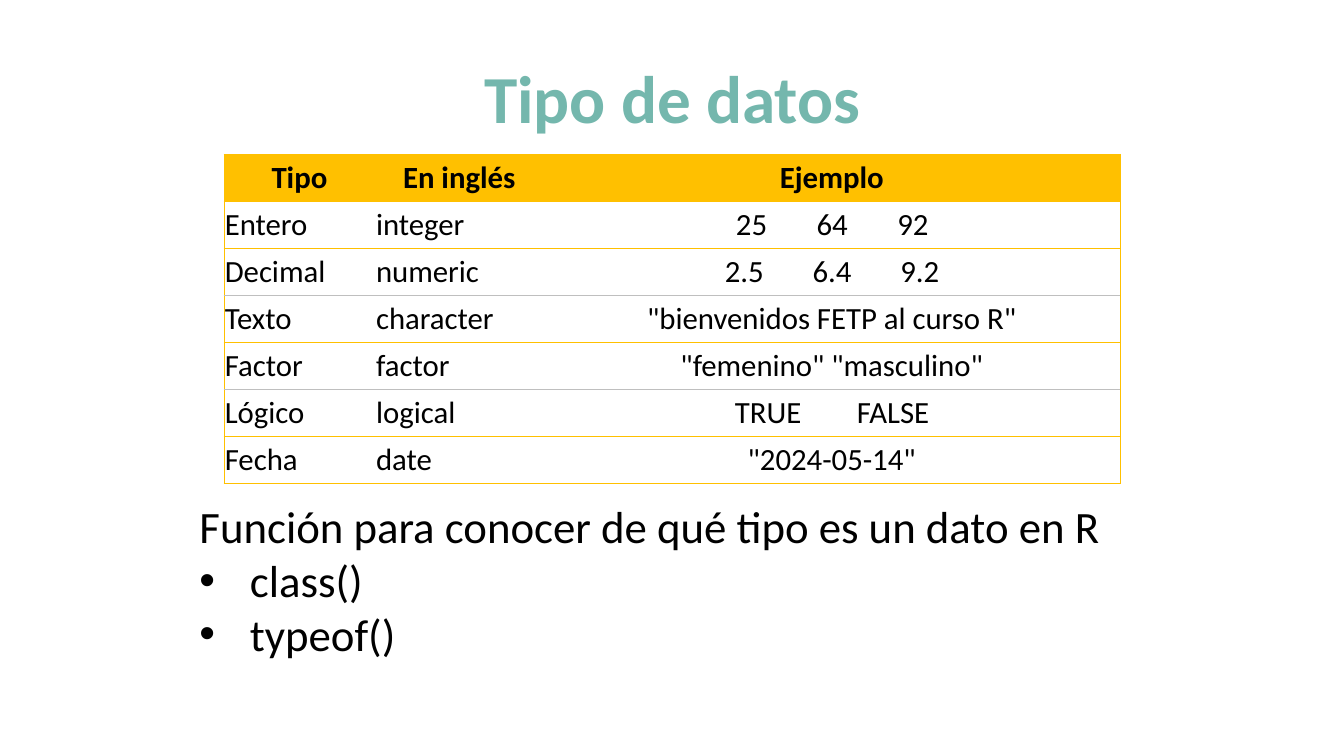
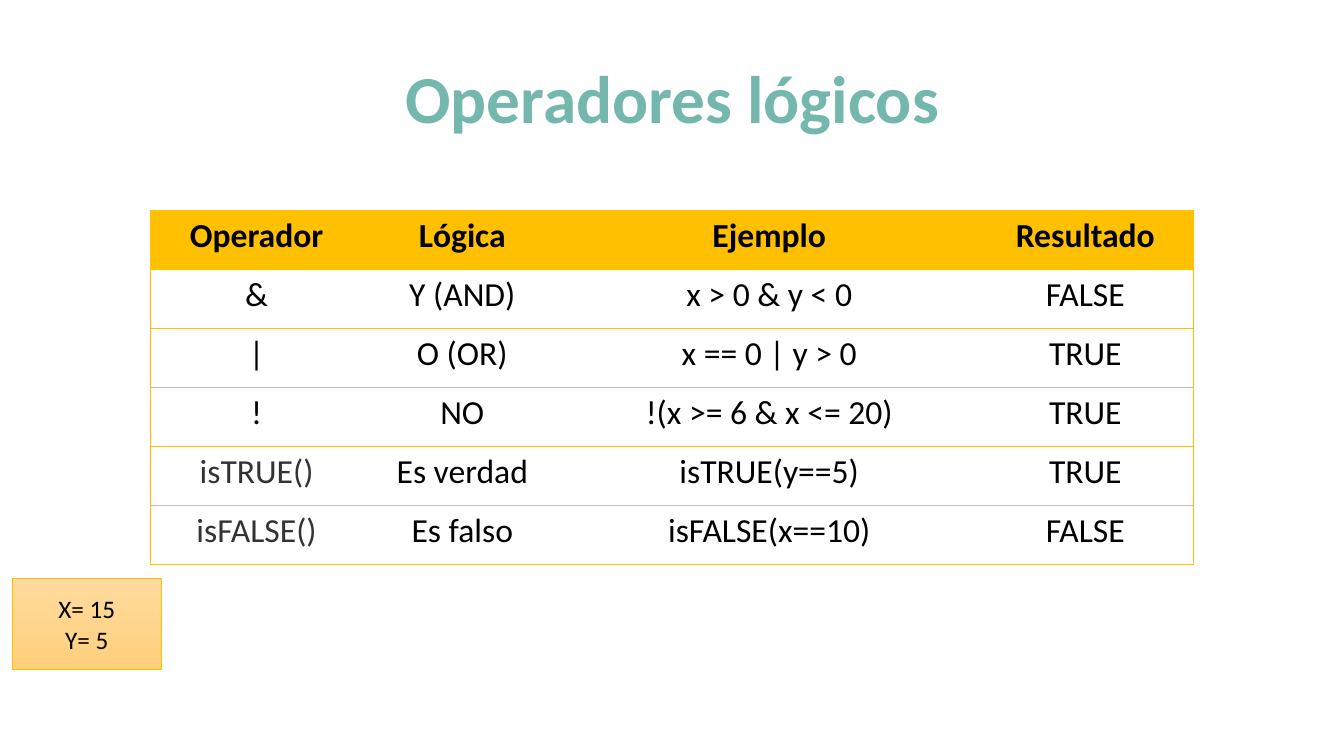
from lxml import etree
from pptx import Presentation
from pptx.dml.color import RGBColor
from pptx.enum.shapes import MSO_SHAPE
from pptx.enum.text import MSO_ANCHOR, PP_ALIGN
from pptx.oxml.ns import qn
from pptx.util import Inches, Pt

CENTER, LEFT = PP_ALIGN.CENTER, PP_ALIGN.LEFT
MIDDLE = MSO_ANCHOR.MIDDLE
RECT = MSO_SHAPE.RECTANGLE
FONT = "Calibri"
COLORS = {
    "title": "74B7AD",
    "accent": "FFC000",
    "rule": "BFBFBF",
    "text": "000000",
    "code": "333333",
    "box_top": "FFDB9E",
    "box_bottom": "FFD07C",
}

SLIDES = [
    {
        "title": "Tipo de datos",
        "at": (2.22, 1.53),
        "cols": [1.5, 1.67, 5.72],
        "row_height": 3.27 / 7,
        "size": 22,
        "aligns": [LEFT, LEFT, CENTER],
        "tabs": {
            "25": [1.9, 2.7, 3.5],
            "2.5": [1.79, 2.66, 3.53],
            "TRUE": [1.89, 3.1],
        },
        "rows": [
            ["Tipo", "En inglés", "Ejemplo"],
            ["Entero", "integer", "25\t64\t92"],
            ["Decimal", "numeric", "2.5\t6.4\t9.2"],
            ["Texto", "character", '"bienvenidos FETP al curso R"'],
            ["Factor", "factor", '"femenino" "masculino"'],
            ["Lógico", "logical", "TRUE\tFALSE"],
            ["Fecha", "date", '"2024-05-14"'],
        ],
    },
    {
        "title": "Operadores lógicos",
        "at": (1.49, 2.09),
        "cols": [2.11, 1.97, 4.12, 2.15],
        "row_height": 3.51 / 6,
        "size": 24,
        "aligns": [CENTER] * 4,
        "tabs": {},
        "rows": [
            ["Operador", "Lógica", "Ejemplo", "Resultado"],
            ["&", "Y (AND)", "x > 0 & y < 0", "FALSE"],
            ["|", "O (OR)", "x == 0 | y > 0", "TRUE"],
            ["!", "NO", "!(x >= 6 & x <= 20)", "TRUE"],
            ["isTRUE()", "Es verdad", "isTRUE(y==5)", "TRUE"],
            ["isFALSE()", "Es falso", "isFALSE(x==10)", "FALSE"],
        ],
    },
]


def add_run(p, text, size, color="text", bold=False, align=LEFT):
    p.alignment = align
    r = p.add_run()
    r.text = text
    r.font.name = FONT
    r.font.size = Pt(size)
    r.font.bold = bold
    r.font.color.rgb = RGBColor.from_string(COLORS[color])


def add_border(tc_pr, side, color):
    ln = etree.SubElement(tc_pr, qn(f"a:ln{side}"), w=str(Pt(0.5)))
    if color is None:
        etree.SubElement(ln, qn("a:noFill"))
    else:
        fill = etree.SubElement(ln, qn("a:solidFill"))
        etree.SubElement(fill, qn("a:srgbClr"), val=COLORS[color])


prs = Presentation()
prs.slide_width, prs.slide_height = Inches(13.33), Inches(7.5)
slides = []

for data in SLIDES:
    s = prs.slides.add_slide(prs.slide_layouts[6])
    slides.append(s)
    tf = s.shapes.add_textbox(Inches(0.92), Inches(0.39), Inches(11.5), Inches(1.14)).text_frame
    tf.word_wrap = True
    tf.vertical_anchor = MIDDLE
    add_run(tf.paragraphs[0], data["title"], 48, "title", True, CENTER)

    rows, cols = data["rows"], data["cols"]
    left, top = data["at"]
    height = data["row_height"]
    table = s.shapes.add_table(
        len(rows), len(cols), Inches(left), Inches(top),
        Inches(sum(cols)), Inches(height * len(rows)),
    ).table
    table.first_row = table.horz_banding = False
    for column, width in zip(table.columns, cols):
        column.width = Inches(width)

    last_row, last_col = len(rows) - 1, len(cols) - 1
    for i, row in enumerate(rows):
        table.rows[i].height = Inches(height)
        above = "rule" if i > 1 and i % 2 else "accent"
        below = "rule" if 0 < i < last_row and i % 2 == 0 else "accent"
        for j, text in enumerate(row):
            cell = table.cell(i, j)
            cell.margin_left = cell.margin_right = Inches(0.01)
            cell.margin_top = cell.margin_bottom = Inches(0.05)
            p = cell.text_frame.paragraphs[0]
            align = data["aligns"][j] if i else CENTER
            if "\t" in text:
                align = LEFT
                tab_list = etree.SubElement(p._p.get_or_add_pPr(), qn("a:tabLst"))
                for stop in data["tabs"][text.split("\t")[0]]:
                    etree.SubElement(tab_list, qn("a:tab"), pos=str(Inches(stop)), algn="l")
                text = "\t" + text
            color = "code" if j == 0 and text.endswith("()") else "text"
            add_run(p, text, data["size"], color, i == 0, align)

            tc_pr = cell._tc.get_or_add_tcPr()
            add_border(tc_pr, "L", "accent" if j == 0 else None)
            add_border(tc_pr, "R", "accent" if j == last_col else None)
            add_border(tc_pr, "T", above)
            add_border(tc_pr, "B", below)
            if i == 0:
                cell.fill.solid()
                cell.fill.fore_color.rgb = RGBColor.from_string(COLORS["accent"])
            else:
                cell.fill.background()

types_slide, logic_slide = slides

tf = types_slide.shapes.add_textbox(Inches(1.88), Inches(4.9), Inches(9.58), Inches(1.72)).text_frame
tf.word_wrap = True
add_run(tf.paragraphs[0], "Función para conocer de qué tipo es un dato en R", 32)
for name in ["class()", "typeof()"]:
    p = tf.add_paragraph()
    p_pr = p._p.get_or_add_pPr()
    p_pr.set("marL", str(Inches(0.5)))
    p_pr.set("indent", str(Inches(-0.5)))
    etree.SubElement(p_pr, qn("a:buFont"), typeface="Arial")
    etree.SubElement(p_pr, qn("a:buChar"), char="•")
    add_run(p, name, 32)

sp = logic_slide.shapes.add_shape(RECT, Inches(0.12), Inches(5.74), Inches(1.48), Inches(0.9))
sp.shadow.inherit = False
sp.fill.gradient()
sp.fill.gradient_angle = 270
for stop, color in zip(sp.fill.gradient_stops, ["box_top", "box_bottom"]):
    stop.color.rgb = RGBColor.from_string(COLORS[color])
sp.line.color.rgb = RGBColor.from_string(COLORS["accent"])
sp.line.width = Pt(0.5)
tf = sp.text_frame
tf.word_wrap = True
tf.vertical_anchor = MIDDLE
add_run(tf.paragraphs[0], "X= 15", 18, align=CENTER)
add_run(tf.add_paragraph(), "Y= 5", 18, align=CENTER)

prs.save("out.pptx")
